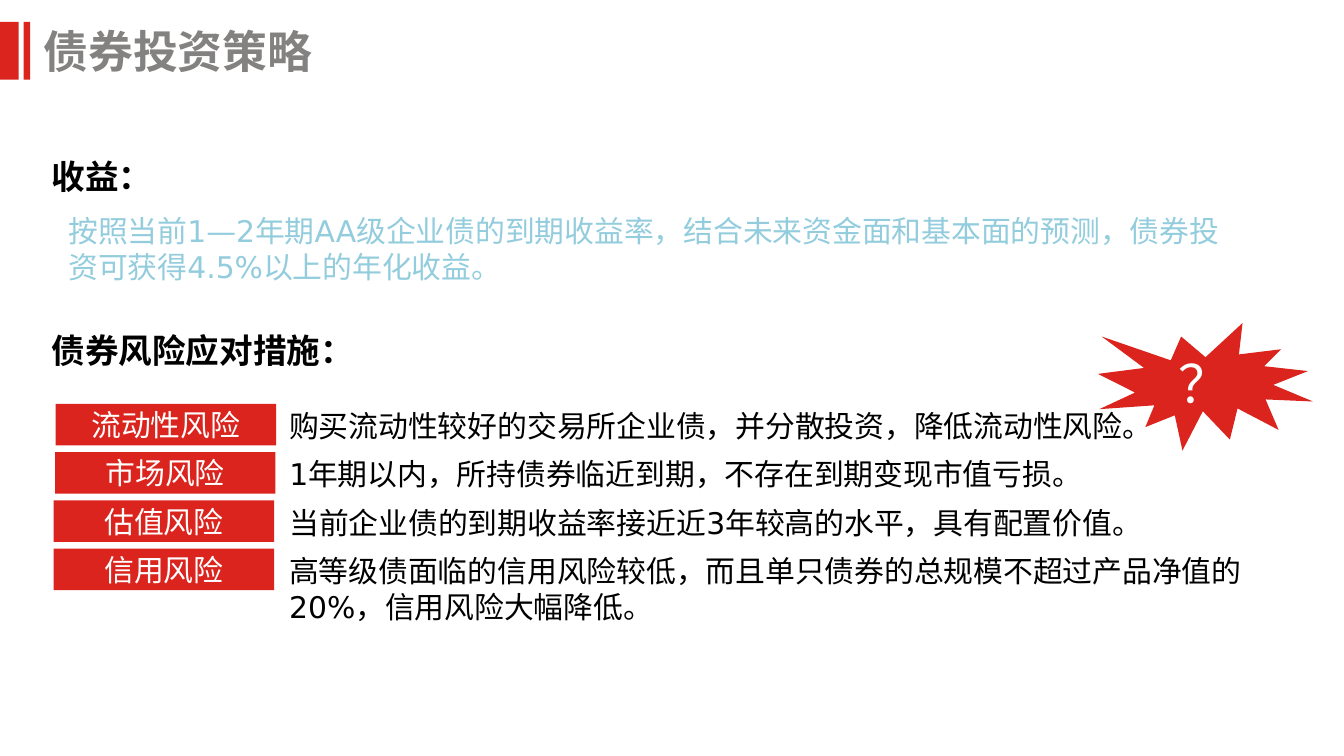
from pptx import Presentation
from pptx.dml.color import RGBColor as Rgb
from pptx.enum.shapes import MSO_SHAPE as Kind
from pptx.enum.text import MSO_ANCHOR as Anchor, MSO_AUTO_SIZE as Fit, PP_ALIGN as Align
from pptx.util import Inches, Pt

HUES = {"red": "DA241D", "gray": "838281", "sky": "93CDDD", "ink": "000000", "white": "FFFFFF"}
WIDE = Inches(10)
HIGH = WIDE * 9 // 16
CELL = WIDE / 100
TOP, STEP = 30.05, 3.59
RISKS = [
    ("流动性风险", 4.15, "购买流动性较好的交易所企业债，并分散投资，降低流动性风险。", 80.6, 3.7),
    ("市场风险", 4.1, "1年期以内，所持债券临近到期，不存在到期变现市值亏损。", 67.9, 3.7),
    ("估值风险", 4, "当前企业债的到期收益率接近近3年较高的水平，具有配置价值。", 77.2, 3.7),
    ("信用风险", 4, "高等级债面临的信用风险较低，而且单只债券的总规模不超过产品净值的20%，信用风险大幅降低。", 73.7, 6.4),
]


def grid(*cells):
    """Turn grid cells into slide lengths."""
    return [round(n * CELL) for n in cells]


def write(frame, words, size, hue, bold=False, font="DejaVu Sans"):
    """Add one styled run to the first paragraph of a frame."""
    run = frame.paragraphs[0].add_run()
    run.text = words
    run.font.size = Pt(size)
    run.font.bold = bold
    run.font.name = font
    run.font.color.rgb = Rgb.from_string(HUES[hue])


def label(slide, box, words, size, hue, **style):
    """Add a wrapping text box that grows with its text."""
    frame = slide.shapes.add_textbox(*grid(*box)).text_frame
    frame.word_wrap = True
    frame.auto_size = Fit.SHAPE_TO_FIT_TEXT
    write(frame, words, size, hue, **style)


def block(slide, box, words="", size=16, kind=Kind.RECTANGLE):
    """Add a red shape with optional centred white text."""
    shape = slide.shapes.add_shape(kind, *grid(*box))
    shape.shadow.inherit = False
    shape.fill.solid()
    shape.fill.fore_color.rgb = Rgb.from_string(HUES["red"])
    shape.line.fill.background()
    if words:
        frame = shape.text_frame
        frame.vertical_anchor = Anchor.MIDDLE
        frame.paragraphs[0].alignment = Align.CENTER
        write(frame, words, size, "white")


def head(slide):
    """Add the slide title with its two bars."""
    label(slide, (2.25, 1.3, 30.6, 5), "债券投资策略", 24, "gray", bold=True, font="Arial")
    for left, wide in ((0, 1.4), (1.75, 0.5)):
        block(slide, (left, 1.63, wide, 4.3))


def risks(slide):
    """Add a tag and a remedy for each risk."""
    for row, (name, left, words, wide, high) in enumerate(RISKS):
        top = TOP + row * STEP
        block(slide, (left, top, 16.4, 3.1), name)
        label(slide, (20.54, top - 0.2, wide, high), words, 16, "ink")


def main():
    """Build and save the slide."""
    deck = Presentation()
    deck.slide_width, deck.slide_height = WIDE, HIGH
    slide = deck.slides.add_slide(deck.slide_layouts[6])
    head(slide)
    label(slide, (2.85, 11.1, 12.4, 4), "收益：", 18, "ink", bold=True)
    label(slide, (4.1, 15.35, 89.6, 6.4),
          "按照当前1—2年期AA级企业债的到期收益率，结合未来资金面和基本面的预测，债券投资可获得4.5%以上的年化收益。",
          16, "sky")
    label(slide, (2.85, 24.05, 26.1, 4), "债券风险应对措施：", 18, "ink", bold=True)
    risks(slide)
    block(slide, (81.7, 24.03, 16, 9.5), "？", 28, Kind.EXPLOSION1)
    deck.save("out.pptx")


if __name__ == "__main__":
    main()
